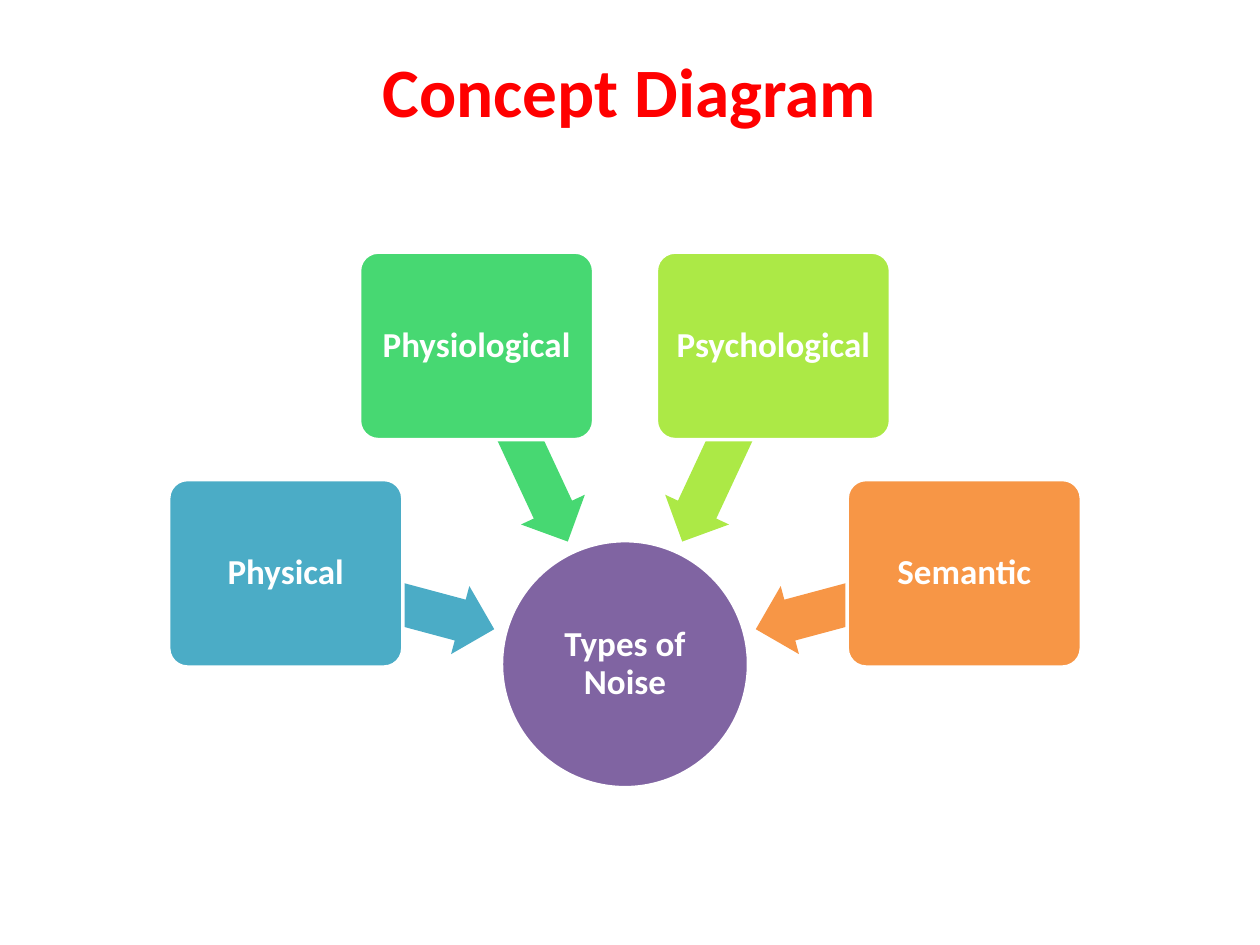
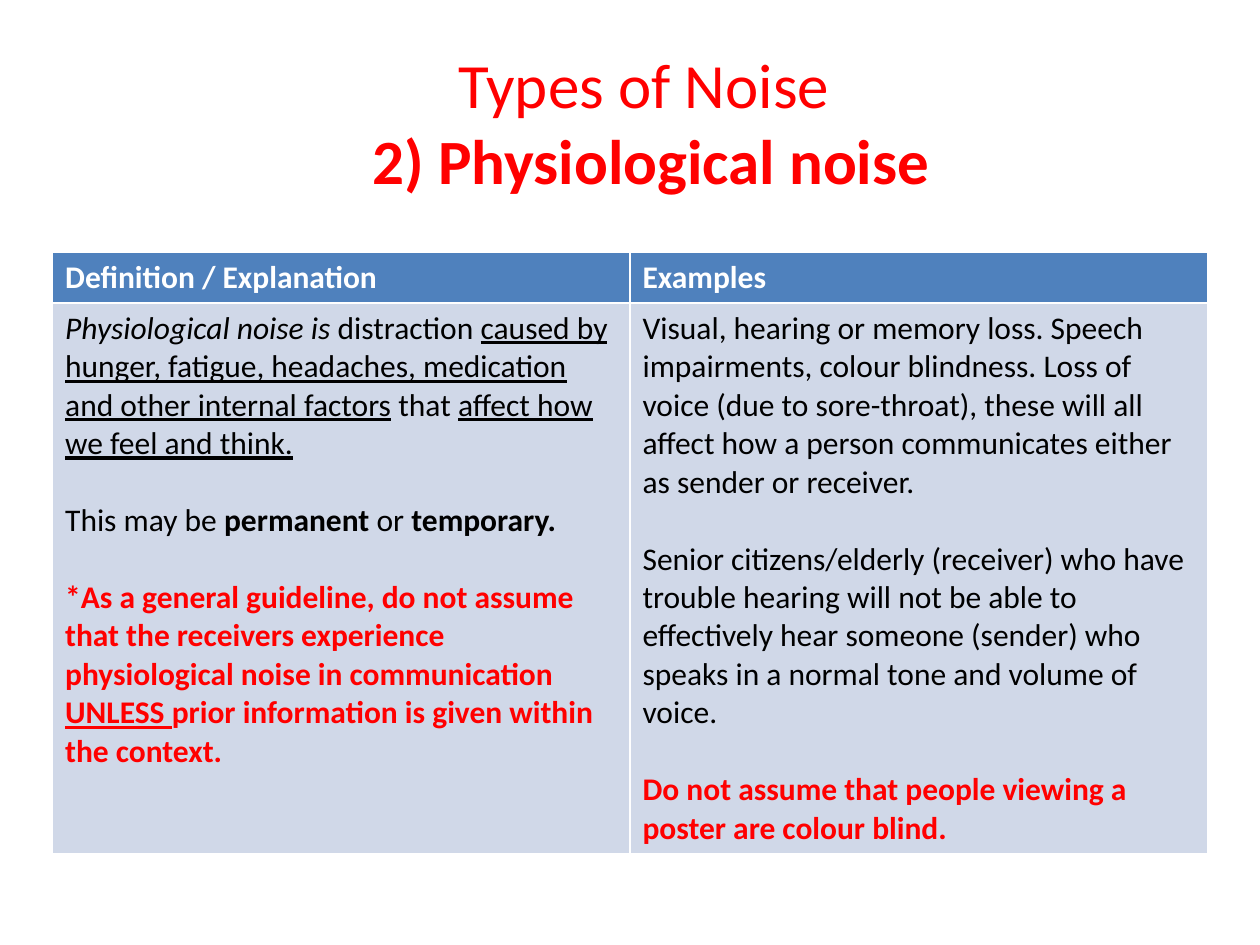
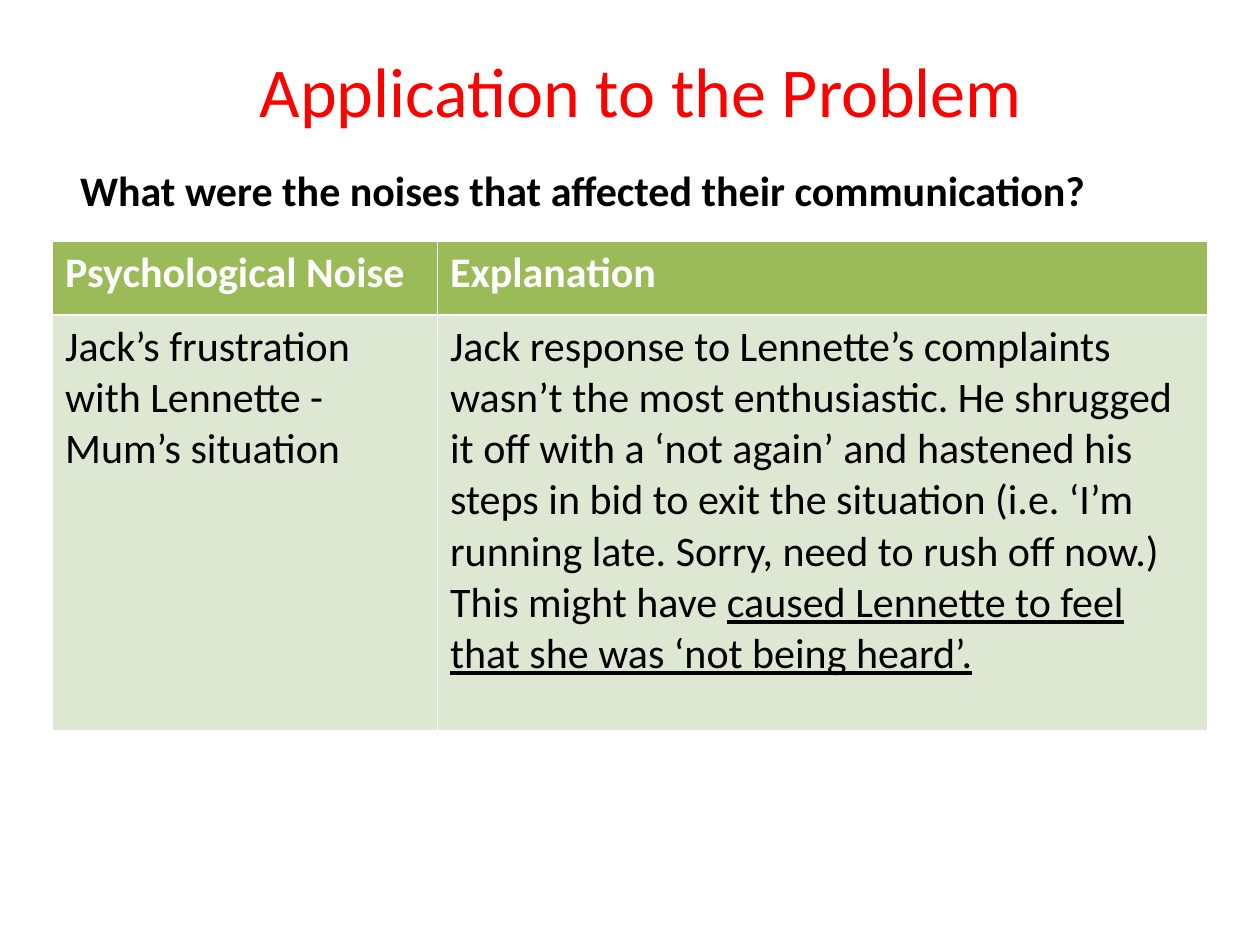
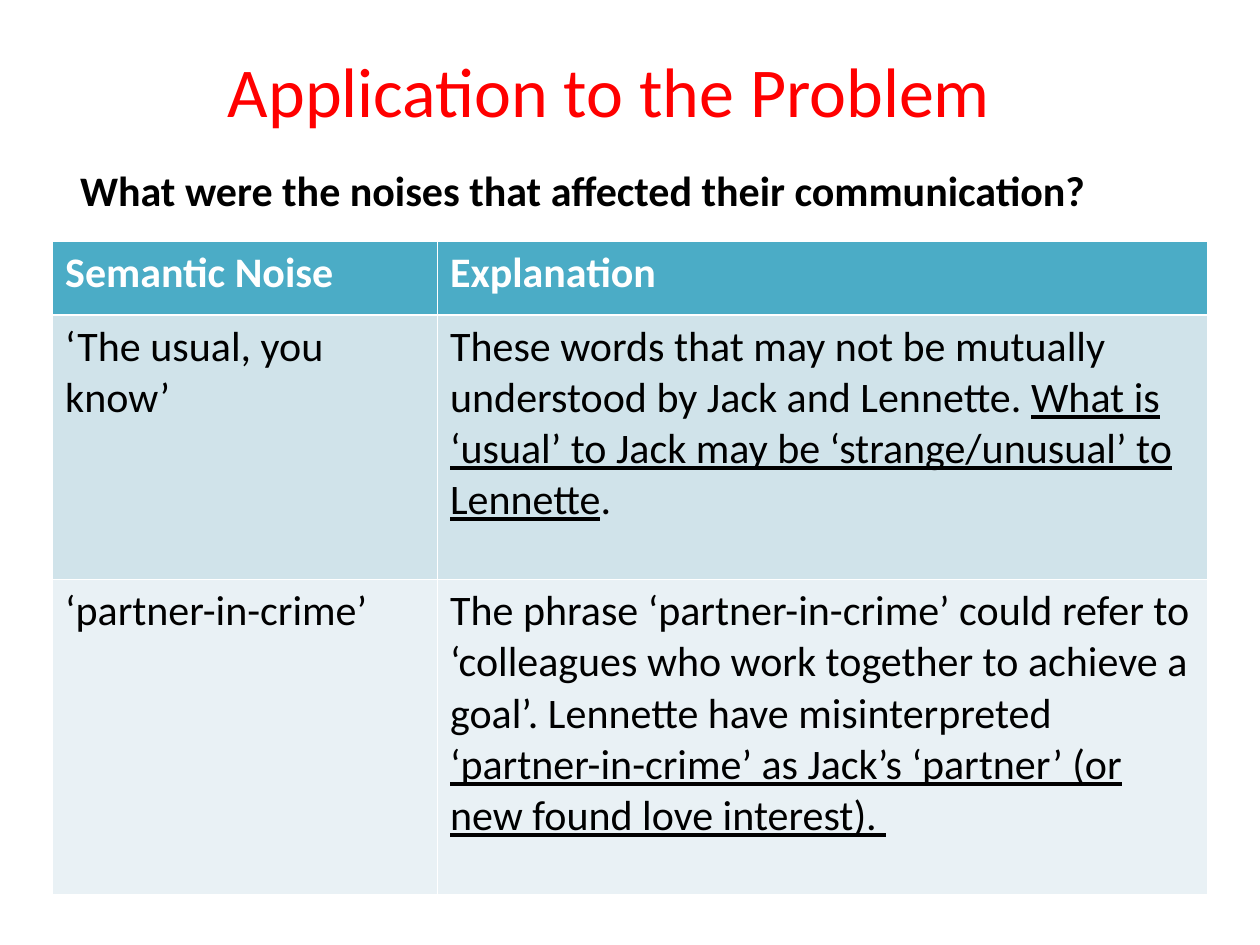
from dataclasses import dataclass
from math import cos, radians, sin

from pptx import Presentation
from pptx.dml.color import RGBColor
from pptx.enum.shapes import MSO_SHAPE
from pptx.enum.text import MSO_ANCHOR, MSO_AUTO_SIZE, PP_ALIGN
from pptx.oxml.ns import qn
from pptx.util import Cm, Pt
from lxml.etree import SubElement


@dataclass(frozen=True)
class Theme:
    font: str = "Calibri"
    # Colours
    red: str = "FF0000"
    black: str = "000000"
    white: str = "FFFFFF"
    hub: str = "8064A2"
    physical: str = "4BACC6"
    physiological: str = "47D872"
    psychological: str = "ACE946"
    semantic: str = "F79646"
    # Table fills: header first, then the body rows
    blue_rows: tuple = ("4F81BD", "D0D8E8")
    green_rows: tuple = ("9BBB59", "DEE7D1")
    teal_rows: tuple = ("4BACC6", "D0E3EA", "E9F1F5")
    # Type sizes in points
    diagram_title: float = 39.6
    title: float = 40
    long_title: float = 36
    question: float = 24
    large_cell: float = 24
    small_cell: float = 18
    node: float = 20


THEME = Theme()
TITLE_ONLY, TITLE_AND_BODY = 5, 1
TABLE_LEFT, TABLE_WIDTH = 1.06, 23.28
HEADER = "Explanation"


# ---------- Text ----------
def style_run(run, size, color, bold=False, italic=False, underline=False):
    font = run.font
    font.name, font.size = THEME.font, Pt(size)
    font.color.rgb = RGBColor.from_string(color)
    font.bold, font.italic, font.underline = bold, italic, underline


def write_spans(paragraph, spans, size, color):
    """Add (text, marks) spans; marks: b bold, i italic, u underlined, r red."""
    if isinstance(spans, str):
        spans = [(spans, "")]
    for text, marks in spans:
        run = paragraph.add_run()
        run.text = text
        style_run(run, size, THEME.red if "r" in marks else color,
                  "b" in marks, "i" in marks, "u" in marks)


def place(shape, left, top, width, height):
    shape.left, shape.top = Cm(left), Cm(top)
    shape.width, shape.height = Cm(width), Cm(height)


def add_title(slide, lines, size, box):
    """Fill the title with one span per line."""
    title = slide.shapes.title
    place(title, *box)
    frame = title.text_frame
    frame.auto_size = MSO_AUTO_SIZE.NONE
    frame.vertical_anchor = MSO_ANCHOR.MIDDLE
    paragraph = frame.paragraphs[0]
    paragraph.alignment = PP_ALIGN.CENTER
    for number, line in enumerate(lines):
        if number:
            paragraph.add_line_break()
        write_spans(paragraph, [line], size, THEME.red)


def add_question(slide, text):
    body = slide.placeholders[1]
    place(body, 1.06, 3.18, 23.7, 1.27)
    body.text_frame.auto_size = MSO_AUTO_SIZE.NONE
    paragraph = body.text_frame.paragraphs[0]
    write_spans(paragraph, [(text, "b")], THEME.question, THEME.black)
    properties = paragraph._p.get_or_add_pPr()
    properties.set("marL", str(Cm(0.3)))
    properties.set("indent", "0")
    SubElement(properties, qn("a:buNone"))


# ---------- Table ----------
def add_noise_table(slide, top, shares, heights, rows, fills, size):
    """Draw a table; each cell is a list of paragraphs made of spans."""
    frame = slide.shapes.add_table(
        len(rows), len(shares), Cm(TABLE_LEFT), Cm(top),
        Cm(TABLE_WIDTH), Cm(sum(heights)))
    table = frame.table
    for column, share in zip(table.columns, shares):
        column.width = Cm(TABLE_WIDTH * share / sum(shares))
    for row_index, (cells, height, fill) in enumerate(zip(rows, heights, fills)):
        table.rows[row_index].height = Cm(height)
        color = THEME.black if row_index else THEME.white
        for column_index, paragraphs in enumerate(cells):
            cell = table.cell(row_index, column_index)
            cell.fill.solid()
            cell.fill.fore_color.rgb = RGBColor.from_string(fill)
            text_frame = cell.text_frame
            for number, spans in enumerate(paragraphs):
                paragraph = text_frame.paragraphs[0]
                if number:
                    paragraph = text_frame.add_paragraph()
                    paragraph.space_before = Pt(size * 1.22)
                write_spans(paragraph, spans, size, color)


def header_row(*names):
    return [[[(name, "b")]] for name in names]


# ---------- Diagram ----------
def add_centred_shape(slide, kind, center, size, fill, outlined=True):
    (x, y), (width, height) = center, size
    shape = slide.shapes.add_shape(
        kind, Cm(x - width / 2), Cm(y - height / 2), Cm(width), Cm(height))
    shape.shadow.inherit = False
    shape.fill.solid()
    shape.fill.fore_color.rgb = RGBColor.from_string(fill)
    if outlined:
        shape.line.color.rgb = RGBColor.from_string(THEME.white)
        shape.line.width = Pt(2)
    else:
        shape.line.fill.background()
    return shape


def label_node(shape, text, inset):
    frame = shape.text_frame
    frame.word_wrap = True
    frame.vertical_anchor = MSO_ANCHOR.MIDDLE
    frame.margin_left = frame.margin_right = Cm(inset)
    frame.margin_top = frame.margin_bottom = Cm(inset)
    paragraph = frame.paragraphs[0]
    paragraph.alignment = PP_ALIGN.CENTER
    paragraph.line_spacing = 0.9
    write_spans(paragraph, [(text, "b")], THEME.node, THEME.white)


def add_converging_diagram(slide, hub_text, noises):
    """Set the noises on an arc around the hub, each with an arrow inwards."""
    hub_x, hub_y = 12.6, 13.39
    box_radius, arrow_radius = 7.08, 4.9
    first_angle, step = 15, 50

    def on_arc(radius, angle):
        return (hub_x - radius * cos(radians(angle)),
                hub_y - radius * sin(radians(angle)))

    hub = add_centred_shape(slide, MSO_SHAPE.OVAL, (hub_x, hub_y),
                            (4.98, 4.98), THEME.hub)
    label_node(hub, hub_text, 0.03)
    for index, (name, color) in enumerate(noises):
        angle = first_angle + index * step
        arrow = add_centred_shape(
            slide, MSO_SHAPE.LEFT_ARROW, on_arc(arrow_radius, angle),
            (4.34, 1.42), color, outlined=False)
        arrow.adjustments[0], arrow.adjustments[1] = 0.6, 0.5
        arrow.rotation = 180 + angle
        box = add_centred_shape(
            slide, MSO_SHAPE.ROUNDED_RECTANGLE, on_arc(box_radius, angle),
            (4.72, 3.78), color)
        box.adjustments[0] = 0.1
        label_node(box, name, 0.1)


# ---------- Slides ----------
def new_slide(deck, layout):
    return deck.slides.add_slide(deck.slide_layouts[layout])


def build_concept_slide(deck):
    slide = new_slide(deck, TITLE_ONLY)
    add_title(slide, [("Concept Diagram", "b")], THEME.diagram_title,
              (0.84, 0.91, 23.7, 1.8))
    add_converging_diagram(slide, "Types of Noise", [
        ("Physical", THEME.physical),
        ("Physiological", THEME.physiological),
        ("Psychological", THEME.psychological),
        ("Semantic", THEME.semantic),
    ])


def build_physiological_slide(deck):
    slide = new_slide(deck, TITLE_ONLY)
    add_title(slide, [("Types of Noise ", ""), ("2) Physiological noise", "b")],
              THEME.long_title, (2.54, 0.85, 21.17, 3.18))
    definition = [
        [("Physiological noise is ", "i"), ("distraction ", ""),
         ("caused by hunger, fatigue, headaches, medication and other "
          "internal factors", "u"),
         (" that ", ""), ("affect how we feel and think.", "u")],
        [("This may be ", ""), ("permanent ", "b"), ("or ", ""),
         ("temporary.", "b")],
        [("*As a general guideline, do not assume that the receivers "
          "experience physiological noise in communication ", "br"),
         ("UNLESS ", "bur"),
         ("prior information is given within the context.", "br")],
    ]
    examples = [
        "Visual, hearing or memory loss. Speech impairments, colour "
        "blindness. Loss of voice (due to sore-throat), these will all "
        "affect how a person communicates either as sender or receiver.",
        "Senior citizens/elderly (receiver) who have trouble hearing will "
        "not be able to effectively hear someone (sender) who speaks in a "
        "normal tone and volume of voice.",
        [("Do not assume that people viewing a poster are colour blind.",
          "br")],
    ]
    add_noise_table(
        slide, 5.08, (1, 1), (1.02, 10.92),
        [header_row("Definition / Explanation", "Examples"),
         [definition, examples]],
        THEME.blue_rows, THEME.small_cell)


def build_application_slide(deck, title_left, noise, heights, rows, fills):
    slide = new_slide(deck, TITLE_AND_BODY)
    add_title(slide, [("Application to the Problem", "")], THEME.title,
              (title_left, 0.21, 21.17, 3.18))
    add_question(slide, "What were the noises that affected their communication?")
    add_noise_table(slide, 4.87, (1, 2), heights,
                    [header_row(noise, HEADER)] + rows, fills, THEME.large_cell)


def main():
    deck = Presentation()
    deck.slide_width, deck.slide_height = Cm(25.4), Cm(19.05)

    build_concept_slide(deck)
    build_physiological_slide(deck)

    frustration = [
        ["Jack’s frustration with Lennette - Mum’s situation"],
        [[("Jack response to Lennette’s complaints wasn’t the most "
           "enthusiastic. He shrugged it off with a ‘not again’ and hastened "
           "his steps in bid to exit the situation (i.e. ‘I’m running late. "
           "Sorry, need to rush off now.) This might have ", ""),
          ("caused Lennette to feel that she was ‘not being heard’.", "u")]],
    ]
    build_application_slide(deck, 2.33, "Psychological Noise", (1.48, 8.38),
                            [frustration], THEME.green_rows)

    the_usual = [
        ["‘The usual, you know’"],
        [[("These words that may not be mutually understood by Jack and "
           "Lennette. ", ""),
          ("What is ‘usual’ to Jack may be ‘strange/unusual’ to Lennette", "u"),
          (".", "")]],
    ]
    partner = [
        ["‘partner-in-crime’"],
        [[("The phrase ‘partner-in-crime’ could refer to ‘colleagues who work "
           "together to achieve a goal’. Lennette have misinterpreted ", ""),
          ("‘partner-in-crime’ as Jack’s ‘partner’ (or new found love "
           "interest). ", "u")]],
    ]
    build_application_slide(deck, 1.69, "Semantic Noise", (1.48, 5.33, 6.35),
                            [the_usual, partner], THEME.teal_rows)

    deck.save("out.pptx")


if __name__ == "__main__":
    main()
